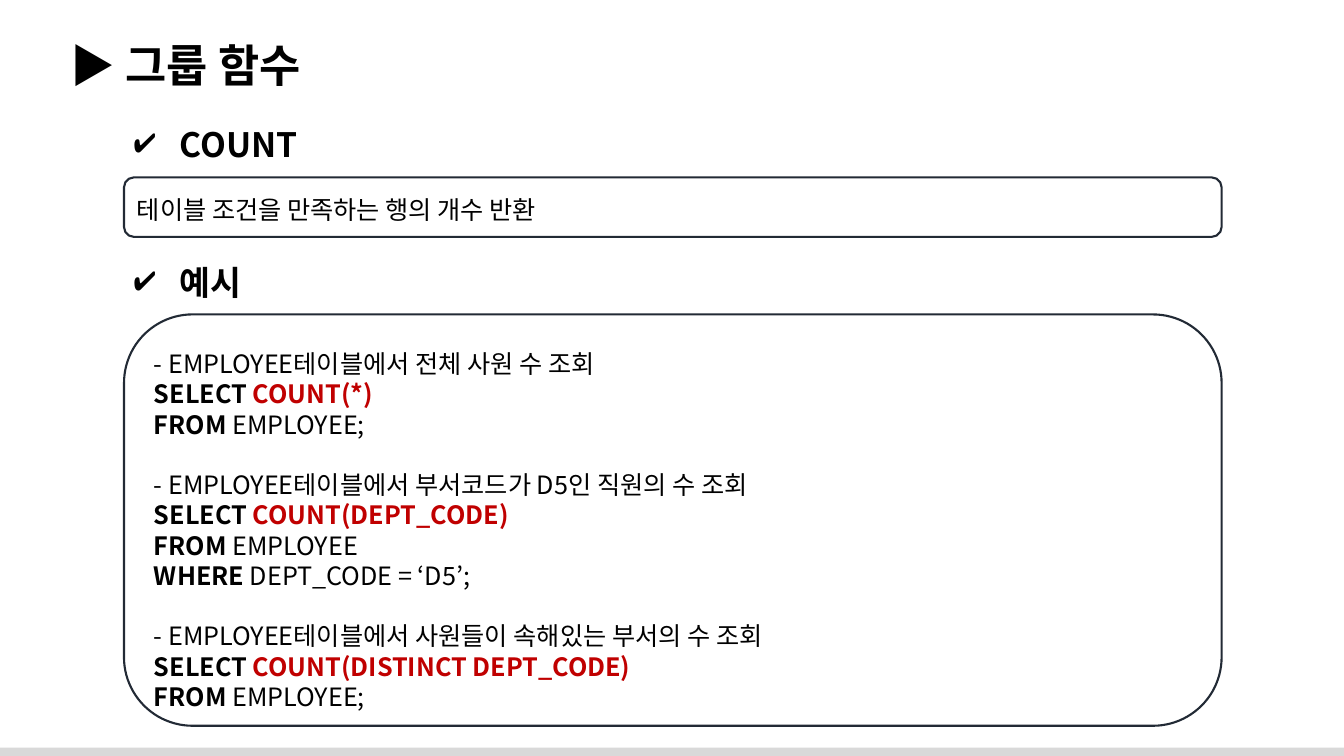
from dataclasses import dataclass

from lxml.etree import SubElement
from pptx import Presentation
from pptx.dml.color import RGBColor
from pptx.enum.shapes import MSO_SHAPE as Shape
from pptx.enum.text import MSO_ANCHOR as Anchor, MSO_AUTO_SIZE as AutoSize, PP_ALIGN as Align
from pptx.oxml.ns import qn
from pptx.util import Pt


@dataclass(frozen=True)
class Theme:
    font: str = "Noto Sans CJK KR"
    ink: RGBColor = RGBColor(0, 0, 0)
    accent: RGBColor = RGBColor(0xC0, 0, 0)
    outline: RGBColor = RGBColor(0x22, 0x2A, 0x35)
    footer: RGBColor = RGBColor(0xD9, 0xD9, 0xD9)
    title: int = 32
    heading: int = 24
    body: int = 18
    leading: float = 1.2


theme = Theme()


def set_frame(frame, size, anchor=Anchor.TOP):
    """Set margins, with a top margin that balances the tight line spacing."""
    frame.word_wrap = True
    frame.auto_size = AutoSize.NONE
    frame.vertical_anchor = anchor
    frame.margin_left = frame.margin_right = Pt(7.2)
    frame.margin_bottom = Pt(3.6)
    drop = 0.18 if anchor == Anchor.MIDDLE else 0.09
    frame.margin_top = Pt(round(3.6 + drop * size, 2))


def style(paragraph, size, bold=None):
    paragraph.alignment = Align.LEFT
    paragraph.line_spacing = Pt(round(size * theme.leading, 2))
    font = paragraph.font
    font.size = Pt(size)
    font.bold = bold
    font.color.rgb = theme.ink
    font.name = theme.font
    for properties in paragraph._p.iter(qn("a:defRPr")):
        SubElement(properties, qn("a:ea"), typeface=theme.font)


presentation = Presentation()
presentation.slide_width, presentation.slide_height = Pt(960), Pt(540)
slide = presentation.slides.add_slide(presentation.slide_layouts[5])
shapes = slide.shapes

footer = shapes.add_shape(Shape.RECTANGLE, Pt(-2), Pt(534), Pt(964), Pt(8))
footer.shadow.inherit = False
footer.fill.solid()
footer.fill.fore_color.rgb = theme.footer
footer.line.fill.background()

title = shapes.title
title.left, title.top, title.width, title.height = Pt(43.2), Pt(20.2), Pt(907), Pt(46)
title.text = "▶ 그룹 함수"
set_frame(title.text_frame, theme.title)
style(title.text_frame.paragraphs[0], theme.title, True)

# Check-marked headings
for text, top, width in [(" COUNT", 82.8, 135.4), (" 예시", 181.4, 98.6)]:
    heading = shapes.add_textbox(Pt(88.6), Pt(top), Pt(width), Pt(36))
    set_frame(heading.text_frame, theme.heading)
    paragraph = heading.text_frame.paragraphs[0]
    paragraph.text = text
    properties = paragraph._p.get_or_add_pPr()
    properties.set("marL", str(Pt(27)))
    properties.set("indent", str(Pt(-27)))
    bullet_color = SubElement(properties, qn("a:buClr"))
    SubElement(bullet_color, qn("a:srgbClr"), val=str(theme.ink))
    SubElement(properties, qn("a:buChar"), char="✔")
    style(paragraph, theme.heading, True)

# Rounded panels
panels = []
for top, height in [(126.7, 42.5), (224.6, 293.8)]:
    panel = shapes.add_shape(Shape.ROUNDED_RECTANGLE, Pt(88.6), Pt(top), Pt(784), Pt(height))
    panel.shadow.inherit = False
    panel.fill.background()
    panel.line.color.rgb = theme.outline
    panel.line.width = Pt(1.5)
    set_frame(panel.text_frame, theme.body, Anchor.MIDDLE)
    panels.append(panel.text_frame)
description, examples = panels

description.text = "테이블 조건을 만족하는 행의 개수 반환"
style(description.paragraphs[0], theme.body)

# Each query: explanation, counted expression, remaining clauses
queries = [
    ("- EMPLOYEE테이블에서 전체 사원 수 조회", "COUNT(*)",
     [("FROM", " EMPLOYEE;")]),
    ("- EMPLOYEE테이블에서 부서코드가 D5인 직원의 수 조회", "COUNT(DEPT_CODE)",
     [("FROM", " EMPLOYEE"), ("WHERE", " DEPT_CODE = ‘D5’;")]),
    ("- EMPLOYEE테이블에서 사원들이 속해있는 부서의 수 조회", "COUNT(DISTINCT DEPT_CODE)",
     [("FROM", " EMPLOYEE;")]),
]
line_height = theme.body * theme.leading
for index, (explanation, expression, clauses) in enumerate(queries):
    paragraph = examples.add_paragraph() if index else examples.paragraphs[0]
    paragraph.text = explanation
    style(paragraph, theme.body)
    if index:
        paragraph.space_before = Pt(line_height)
    else:
        paragraph.line_spacing = Pt(1.5 * line_height)
    for keyword, rest in [("SELECT ", expression), *clauses]:
        paragraph = examples.add_paragraph()
        style(paragraph, theme.body)
        keyword_run, rest_run = paragraph.add_run(), paragraph.add_run()
        keyword_run.text, rest_run.text = keyword, rest
        keyword_run.font.bold = True
        if rest == expression:
            rest_run.font.bold = True
            rest_run.font.color.rgb = theme.accent

presentation.save("out.pptx")
